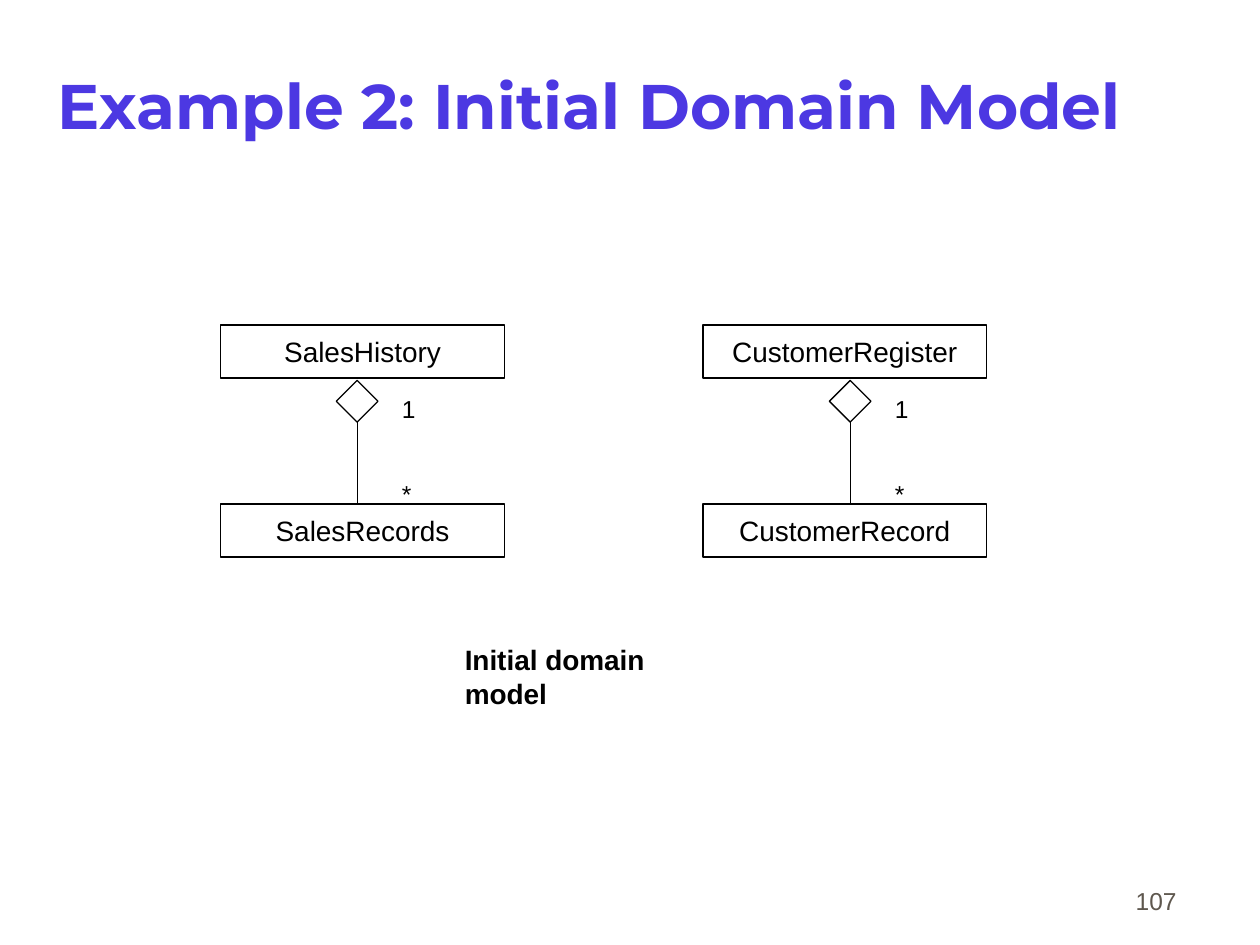
from lxml.etree import SubElement
from pptx import Presentation
from pptx.dml.color import RGBColor
from pptx.enum.shapes import MSO_CONNECTOR, MSO_SHAPE
from pptx.enum.text import MSO_ANCHOR, PP_ALIGN
from pptx.oxml.ns import qn
from pptx.util import Cm, Pt

BLACK = "000000"
BOX_W, BOX_H = 5.72, 1.07
WHOLE_Y, PART_Y = 6.55, 10.16
DIAMOND_Y, DIAMOND_SIZE = 7.67, 0.84


def rgb(value):
    return RGBColor.from_string(value)


def write(tf, text, size, color=BLACK, font="Arial", bold=False,
          align=PP_ALIGN.LEFT):
    p = tf.paragraphs[0]
    p.text = text
    p.alignment = align
    p.font.size, p.font.name, p.font.bold = Pt(size), font, bold
    p.font.color.rgb = rgb(color)


def add_text(s, x, y, w, h, text, size, anchor=MSO_ANCHOR.TOP, wrap=False,
             inset=0.25, **style):
    tf = s.shapes.add_textbox(Cm(x), Cm(y), Cm(w), Cm(h)).text_frame
    tf.word_wrap = wrap
    tf.vertical_anchor = anchor
    tf.margin_left = tf.margin_right = Cm(inset)
    write(tf, text, size, **style)


def add_outline(s, kind, x, y, w, h):
    sp = s.shapes.add_shape(kind, Cm(x), Cm(y), Cm(w), Cm(h))
    sp.shadow.inherit = False
    sp.fill.background()
    sp.line.color.rgb = rgb(BLACK)
    sp.line.width = Pt(0.75)
    return sp


def add_class(s, x, y, name):
    tf = add_outline(s, MSO_SHAPE.RECTANGLE, x, y, BOX_W, BOX_H).text_frame
    tf.margin_left = tf.margin_right = tf.margin_top = tf.margin_bottom = 0
    tf.vertical_anchor = MSO_ANCHOR.MIDDLE
    write(tf, name, 16, align=PP_ALIGN.CENTER)


def add_aggregation(s, x, axis, whole, part):
    # Class boxes
    add_class(s, x, WHOLE_Y, whole)
    add_class(s, x, PART_Y, part)

    # Diamond and the line down to the part
    diamond = add_outline(s, MSO_SHAPE.DIAMOND, axis - DIAMOND_SIZE / 2,
                          DIAMOND_Y, DIAMOND_SIZE, DIAMOND_SIZE)
    line = s.shapes.add_connector(
        MSO_CONNECTOR.STRAIGHT, Cm(axis), Cm(DIAMOND_Y + DIAMOND_SIZE),
        Cm(axis), Cm(PART_Y))
    line.begin_connect(diamond, 2)
    line.line.color.rgb = rgb(BLACK)
    line.line.width = Pt(0.75)
    SubElement(line._element.spPr, qn("a:effectLst"))

    # Multiplicities
    for y, label in ((7.82, "1"), (9.53, "*")):
        add_text(s, axis + 0.65, y, 0.75, 0.86, label, 14)


def main():
    prs = Presentation()
    prs.slide_width, prs.slide_height = Cm(25.4), Cm(19.05)
    s = prs.slides.add_slide(prs.slide_layouts[6])

    # Title
    add_text(s, 1.12, 0.46, 21.59, 3.28, "Example 2: Initial Domain Model", 36,
             anchor=MSO_ANCHOR.MIDDLE, wrap=True, inset=0.05,
             color="4C38E2", font="Montserrat", bold=True)

    # Domain model
    add_aggregation(s, 4.45, 7.2, "SalesHistory", "SalesRecords")
    add_aggregation(s, 14.17, 17.14, "CustomerRegister", "CustomerRecord")
    add_text(s, 9.12, 12.83, 5.94, 0.94, "Initial domain model", 16, bold=True)

    # Slide number
    add_text(s, 18.69, 17.3, 5.28, 1.27, "107", 14, anchor=MSO_ANCHOR.BOTTOM,
             wrap=True, color="5E574E", align=PP_ALIGN.RIGHT)

    prs.save("out.pptx")


if __name__ == "__main__":
    main()
